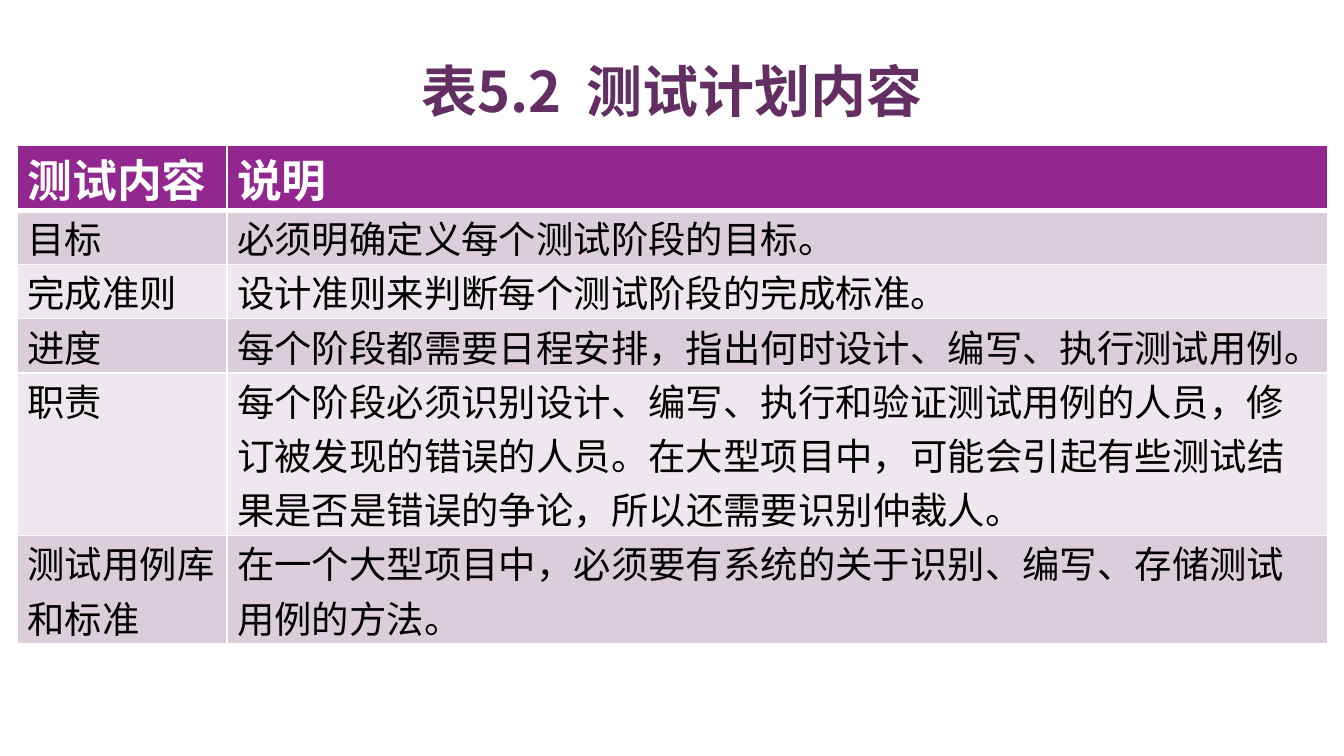
from itertools import cycle

from pptx import Presentation
from pptx import util as u
from pptx.dml import color
from pptx.enum import text
from pptx.oxml import ns, xmlchemy

COLORS = {
    "title": "632E62",
    "header": "92278F",
    "header_text": "FFFFFF",
    "odd_row": "DCCDDB",
    "even_row": "EEE8EE",
    "body_text": "000000",
    "border": "FFFFFF",
}
SANS = "Noto Sans CJK SC"
SERIF = "Times New Roman"
HEADER = ("测试内容", "说明")
ROWS = [
    (["目标"], ["必须", "明确", "定义每个测试阶段的目标", "。"]),
    (["完成准则"], ["设计准则来判断每个测试阶段", "的完成标准。"]),
    (["进度"], ["每个阶段都需要日程安排，指出何时设计、编写、执行测试用例。"]),
    (["职责"], [
        "每个阶段必须识别设计、编写、执行和验证测试用例的人员，"
        "修订被发现的错误的人员。在大型项目中，",
        "可能", "会引起有些测试结果是否是错误的争论，所以", "还", "需要识别仲裁人。",
    ]),
    (["测试用例库和标准"], [
        "在", "一", "个大型项目中，必须要有系统的关于识别、编写、存储测试用例的方法。",
    ]),
]
COLUMN_WIDTHS = (1.56, 8.19)
ROW_HEIGHTS = (0.48, 0.33, 0.34, 0.33, 1, 0.75)


def add_run(paragraph, words, size, fill, font=SANS, bold=False):
    """Append a run whose East Asian glyphs always use the sans face."""
    run = paragraph.add_run()
    run.text = words
    run.font.size = u.Pt(size)
    run.font.bold = bold
    run.font.name = font
    run.font.color.rgb = color.RGBColor.from_string(COLORS[fill])
    east_asian = xmlchemy.OxmlElement("a:ea")
    east_asian.set("typeface", SANS)
    run.font._element.find(ns.qn("a:latin")).addnext(east_asian)


def place_title(slide, left, top, width, height):
    """Move the title placeholder into the box and fill in the caption."""
    title = slide.shapes.title
    title.left, title.top = u.Inches(left), u.Inches(top)
    title.width, title.height = u.Inches(width), u.Inches(height)
    frame = title.text_frame
    frame.word_wrap = True
    frame.auto_size = text.MSO_AUTO_SIZE.NONE
    frame.vertical_anchor = text.MSO_ANCHOR.TOP
    frame.margin_left = frame.margin_right = u.Inches(0.07)
    frame.margin_top = frame.margin_bottom = u.Inches(0.04)
    paragraph = frame.paragraphs[0]
    paragraph.alignment = text.PP_ALIGN.CENTER
    add_run(paragraph, "表5.2  测试计划内容", size=30, fill="title", bold=True)


def add_border(cell, side, width):
    """Draw a solid border on one side of a cell, before its fill is set."""
    line = xmlchemy.OxmlElement(f"a:ln{side}")
    line.set("w", str(u.Pt(width)))
    solid = xmlchemy.OxmlElement("a:solidFill")
    shade = xmlchemy.OxmlElement("a:srgbClr")
    shade.set("val", COLORS["border"])
    solid.append(shade)
    line.append(solid)
    cell._tc.get_or_add_tcPr().append(line)


def format_cell(cell, fill, top=1, bottom=1):
    """Set the borders, fill and margins of a cell and return its paragraph."""
    for side, width in (("L", 1), ("R", 1), ("T", top), ("B", bottom)):
        add_border(cell, side, width)
    cell.fill.solid()
    cell.fill.fore_color.rgb = color.RGBColor.from_string(COLORS[fill])
    cell.margin_left = cell.margin_right = u.Pt(5.4)
    cell.margin_top = cell.margin_bottom = 0
    return cell.text_frame.paragraphs[0]


def place_plan_table(slide, left, top, width, height):
    """Add the test plan table, alternating fonts between the runs of a cell."""
    table = slide.shapes.add_table(
        len(ROWS) + 1, len(HEADER),
        u.Inches(left), u.Inches(top), u.Inches(width), u.Inches(height),
    ).table
    for column, column_width in zip(table.columns, COLUMN_WIDTHS):
        column.width = u.Inches(column_width)
    for row, row_height in zip(table.rows, ROW_HEIGHTS):
        row.height = u.Inches(row_height)

    for column_index, heading in enumerate(HEADER):
        paragraph = format_cell(table.cell(0, column_index), "header", bottom=3)
        add_run(paragraph, heading, size=24, fill="header_text", bold=True)
    for row_index, row in enumerate(ROWS, start=1):
        band = "odd_row" if row_index % 2 else "even_row"
        top_border = 3 if row_index == 1 else 1
        for column_index, pieces in enumerate(row):
            cell = table.cell(row_index, column_index)
            paragraph = format_cell(cell, band, top=top_border)
            for words, font in zip(pieces, cycle((SERIF, SANS))):
                add_run(paragraph, words, size=20, fill="body_text", font=font)


def main():
    """Build the slide and save it."""
    presentation = Presentation()
    presentation.slide_width = u.Inches(10)
    presentation.slide_height = u.Inches(10) * 9 // 16
    slide = presentation.slides.add_slide(presentation.slide_layouts[5])
    place_plan_table(slide, 0.13, 1.08, sum(COLUMN_WIDTHS), sum(ROW_HEIGHTS))
    place_title(slide, 0.5, 0.38, 9, 0.32)
    presentation.save("out.pptx")


if __name__ == "__main__":
    main()
